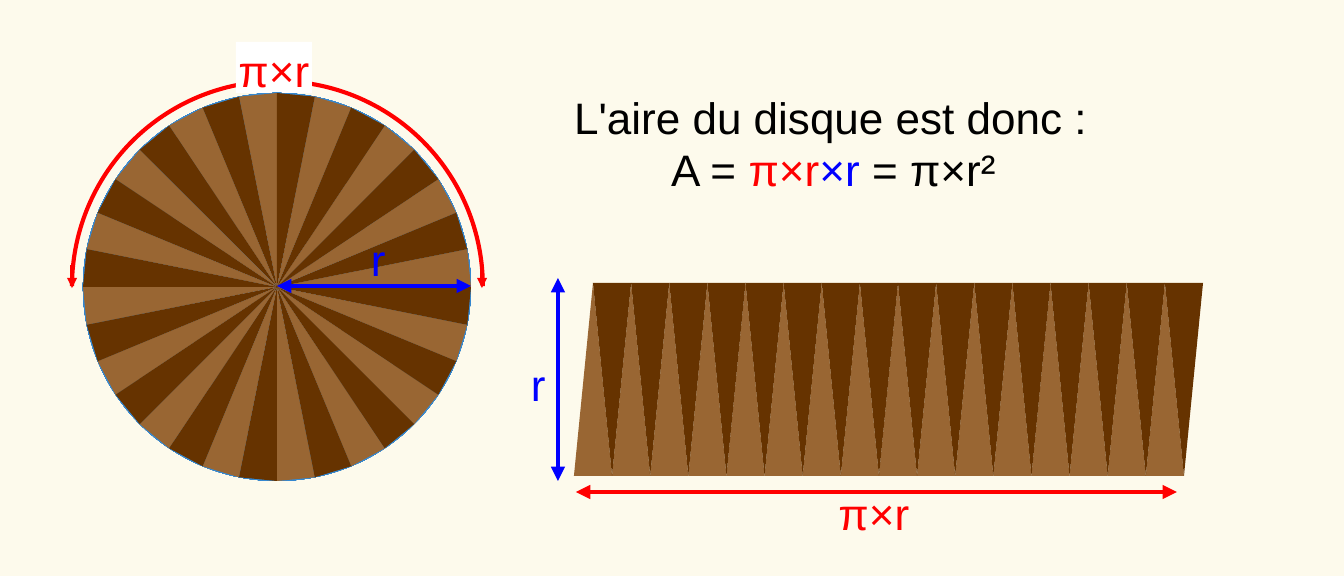
from math import cos, pi, sin

from lxml.etree import SubElement
from pptx import Presentation
from pptx.dml.color import RGBColor
from pptx.enum.shapes import MSO_CONNECTOR, MSO_SHAPE as SHAPE
from pptx.enum.text import MSO_ANCHOR, MSO_AUTO_SIZE as AUTO, PP_ALIGN as ALIGN
from pptx.oxml.ns import qn
from pptx.util import Pt

PX = 914400 / 122
COLORS = {name: RGBColor.from_string(value) for name, value in {
    "cream": "FDFAEC", "white": "FFFFFF", "black": "000000",
    "red": "FF0000", "blue": "0000FF", "light": "996633", "dark": "663300",
    "sky": "99CCFF", "rim": "1070C0"}.items()}


def write(shapes, box, *lines, wrap=True, margins=(12, 6, 12, 6),
          align=ALIGN.LEFT, back=None):
    """Write lines of (text, colour) runs in a box; the last line takes align."""
    place = [round(v * PX) for v in box]
    if back:
        label = shapes.add_shape(SHAPE.RECTANGLE, *place)
        label.shadow.inherit = False
        label.fill.solid()
        label.fill.fore_color.rgb = COLORS[back]
        label.line.fill.background()
    else:
        label = shapes.add_textbox(*place)
    frame = label.text_frame
    frame.word_wrap = wrap
    frame.auto_size = AUTO.SHAPE_TO_FIT_TEXT
    frame.vertical_anchor = MSO_ANCHOR.TOP
    (frame.margin_left, frame.margin_top,
     frame.margin_right, frame.margin_bottom) = [round(m * PX) for m in margins]
    for i, runs in enumerate(lines):
        paragraph = frame.add_paragraph() if i else frame.paragraphs[0]
        paragraph.alignment = align if i == len(lines) - 1 else ALIGN.LEFT
        for text, color in runs:
            run = paragraph.add_run()
            run.text = text
            run.font.name = "Arial"
            run.font.size = Pt(26)
            run.font.color.rgb = COLORS[color]


def arrow(shapes, ends, color, width=2.83, tips=("headEnd", "tailEnd")):
    """Draw a straight arrow through ends (x1, y1, x2, y2)."""
    line = shapes.add_connector(MSO_CONNECTOR.STRAIGHT, *[round(v * PX) for v in ends])
    line.line.color.rgb = COLORS[color]
    line.line.width = Pt(width)
    for tip in tips:
        SubElement(line.line._get_or_add_ln(), qn("a:" + tip), type="triangle")
    SubElement(line._element.spPr, qn("a:effectLst"))


deck = Presentation()
deck.slide_width, deck.slide_height = round(1344 * PX), round(576 * PX)
slide = deck.slides.add_slide(deck.slide_layouts[6])
slide.background.fill.solid()
slide.background.fill.fore_color.rgb = COLORS["cream"]
shapes = slide.shapes

# Conclusion and dimensions of the strip
write(shapes, (562, 84, 543, 111),
      [("L'aire du disque est donc :", "black")],
      [("A = ", "black"), ("π×r", "red"), ("×r ", "blue"), ("= π×r²", "black")],
      align=ALIGN.CENTER)
arrow(shapes, (576, 492, 1177, 492), "red")
arrow(shapes, (558, 481, 558, 278), "blue")
write(shapes, (519, 351, 72, 61), [("r", "blue")])

# Half circumference with its arrowheads
half_turn = shapes.add_group_shape().shapes
arc = half_turn.add_shape(SHAPE.BLOCK_ARC, *[round(v * PX) for v in (70, 79, 415, 415)])
arc.shadow.inherit = False
for i, value in enumerate((108.06, 215.94, 0.01)):
    arc.adjustments[i] = value
arc.fill.solid()
arc.fill.fore_color.rgb = COLORS["red"]
arc.line.fill.background()
for x in (72, 482):
    arrow(half_turn, (x, 265, x, 288), "red", width=0, tips=("tailEnd",))

half_label = dict(wrap=False, margins=(2, 2, 2, 0), align=ALIGN.CENTER)
write(shapes, (236, 42, 76, 51), [("π×r", "red")], back="white", **half_label)
write(shapes, (836, 484, 76, 51), [("π×r", "red")], **half_label)

# Disc
CX, CY, RADIUS, SLICES = 277, 287, 194, 32
sliced = shapes.add_group_shape().shapes
disc = sliced.add_shape(SHAPE.OVAL, *[round(v * PX) for v in (
    CX - RADIUS, CY - RADIUS, 2 * RADIUS, 2 * RADIUS)])
disc.shadow.inherit = False
disc.line.fill.background()
disc.fill.gradient()
for stop, color, position in zip(disc.fill.gradient_stops, ("sky", "rim"), (0, 1)):
    stop.color.rgb = COLORS[color]
    stop.position = position
gradient = disc._element.spPr.find(qn("a:gradFill"))
gradient.remove(gradient.find(qn("a:lin")))
center = SubElement(SubElement(gradient, qn("a:path"), path="circle"), qn("a:fillToRect"))
for side in "ltrb":
    center.set(side, "50000")

# Slices of the disc, then the same slices laid head to tail in a strip
LEFT, TOP, BOTTOM, HALF_BASE = 574, 283, 476, 610 / SLICES
triangles = []
for i in range(SLICES):
    rim = [(CX + RADIUS * cos(a), CY - RADIUS * sin(a))
           for a in (2 * pi * i / SLICES, 2 * pi * (i + 1) / SLICES)]
    triangles.append((i % 2, [(CX, CY), *rim]))
for i in range(SLICES):
    x = LEFT + i * HALF_BASE
    base, tip = (TOP, BOTTOM) if i % 2 else (BOTTOM, TOP)
    triangles.append((i % 2, [(x, base), (x + HALF_BASE, tip), (x + 2 * HALF_BASE, base)]))
for odd, corners in sorted(triangles, key=lambda triangle: triangle[0]):
    points = [(round(x * PX), round(y * PX)) for x, y in corners]
    outline = sliced.build_freeform(*points[0])
    outline.add_line_segments(points[1:], close=True)
    piece = outline.convert_to_shape()
    piece.shadow.inherit = False
    piece.fill.solid()
    piece.fill.fore_color.rgb = COLORS["dark" if odd else "light"]
    piece.line.fill.background()

# Radius
arrow(sliced, (CX, 286, CX + RADIUS, 286), "blue")
write(sliced, (359, 226, 72, 140), [("r", "blue")])

deck.save("out.pptx")
